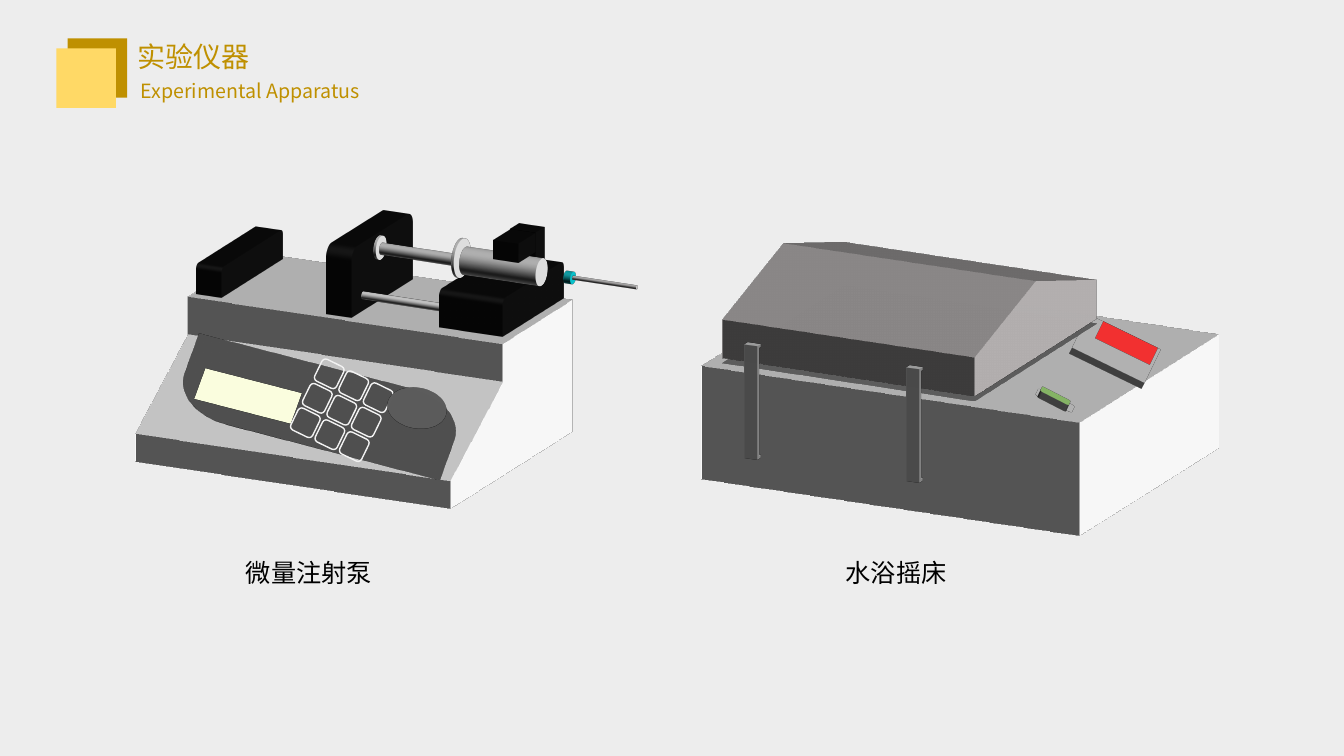
from lxml.etree import SubElement
from pptx import Presentation
from pptx.dml.color import RGBColor
from pptx.enum.shapes import MSO_SHAPE as Preset
from pptx.enum.text import MSO_ANCHOR as Anchor, MSO_AUTO_SIZE as AutoSize
from pptx.oxml.ns import qn
from pptx.util import Inches, Pt

COLORS = {
    "background": "EDEDED", "gold": "BF9000", "pale gold": "FFD966",
    "text": "000000", "block": "0D0D0D", "white": "F2F2F2", "disc": "D9D9D9",
    "hub": "09BEC7", "needle": "D0CECE", "panel": "000000", "display": "A9D18E",
    "grey": "808080", "screen": "C00000", "button": "548235", "lid": "AFABAB",
}
CJK_FONT = "Noto Sans CJK SC"
SIDE_VIEW = (18, 296, 0)
TOP_VIEW = (288, 0, 334)
PANEL_VIEW = (313, 7.5, 340)


def color(name):
    """Return the named colour."""
    return RGBColor.from_string(COLORS[name])


def finish(shape, fill, line=None):
    """Give a shape a plain fill, an optional line and no shadow."""
    shape.shadow.inherit = False
    if fill:
        shape.fill.solid()
        shape.fill.fore_color.rgb = color(fill)
    else:
        shape.fill.background()
    if line:
        shape.line.color.rgb = color(line)
        shape.line.width = Pt(1)
    else:
        shape.line.fill.background()
    return shape


def extrude(shape, depth, view=SIDE_VIEW, side=None):
    """Turn a shape in space and give it a depth in points."""
    properties = shape._element.spPr
    scene = SubElement(properties, qn("a:scene3d"))
    preset = "isometricOffAxis2Right" if view == SIDE_VIEW else "orthographicFront"
    camera = SubElement(scene, qn("a:camera"), prst=preset)
    angles = [str(int(angle * 60000)) for angle in view]
    SubElement(camera, qn("a:rot"), **dict(zip(("lat", "lon", "rev"), angles)))
    SubElement(scene, qn("a:lightRig"), rig="threePt", dir="t")
    solid = SubElement(properties, qn("a:sp3d"), extrusionH=str(Pt(depth)))
    if side:
        extrusion_color = SubElement(solid, qn("a:extrusionClr"))
        SubElement(extrusion_color, qn("a:srgbClr"), val=COLORS[side])


def place(group, kind, box, left, top, width, height, fill, line=None):
    """Place a preset shape relative to a box."""
    shape = group.shapes.add_shape(
        kind, Inches(box[0] + left), Inches(box[1] + top), Inches(width), Inches(height))
    return finish(shape, fill, line)


def outline(group, box, fill, *points):
    """Draw a closed polygon relative to a box."""
    corners = [(Inches(box[0] + x), Inches(box[1] + y)) for x, y in points]
    builder = group.shapes.build_freeform(*corners[0])
    builder.add_line_segments(corners[1:], close=True)
    return finish(builder.convert_to_shape(), fill)


def write(text_frame, text, size, font, fill, wrap=True):
    """Write one formatted line in a text frame."""
    text_frame.auto_size = AutoSize.SHAPE_TO_FIT_TEXT
    text_frame.vertical_anchor = Anchor.TOP
    text_frame.word_wrap = wrap
    run = text_frame.paragraphs[0].add_run()
    run.text = text
    run.font.size = Pt(size)
    run.font.name = font
    run.font.color.rgb = color(fill)
    SubElement(run.font._element, qn("a:ea")).set("typeface", CJK_FONT)


def caption(parent, left, top, width, height, text, size, fill, wrap=True):
    """Add a text box with one line."""
    text_box = parent.shapes.add_textbox(
        Inches(left), Inches(top), Inches(width), Inches(height))
    write(text_box.text_frame, text, size, CJK_FONT, fill, wrap)


def add_header(slide, left, top):
    """Place the square emblem, title and subtitle."""
    box = (left, top)
    group = slide.shapes.add_group_shape()
    place(group, Preset.RECTANGLE, box, 0.11, 0, 0.59, 0.59, "gold")
    place(group, Preset.RECTANGLE, box, 0, 0.1, 0.59, 0.59, "pale gold")
    title = slide.shapes.title
    title.left, title.top = Inches(left + 0.7), Inches(top - 0.04)
    title.width, title.height = Inches(3.8), Inches(0.44)
    write(title.text_frame, "实验仪器", 20, "Arial", "gold")
    paragraph = title.text_frame.paragraphs[0]
    paragraph.alignment = 1
    caption(group, left + 0.69, top + 0.35, 2.58, 0.34, " Experimental Apparatus", 14, "gold")


def add_keypad(group, box, left, top):
    """Place a tilted grid of three by three keys."""
    keypad = group.shapes.add_group_shape()
    for row in range(3):
        for column in range(3):
            place(keypad, Preset.ROUNDED_RECTANGLE, box, left + column * 0.27,
                  top + row * 0.27, 0.24, 0.24, None, "white")
    keypad.rotation = 26


def add_pump(slide, left, top):
    """Draw the syringe pump and its caption."""
    box = (left, top)
    group = slide.shapes.add_group_shape()
    bracket = Preset.ROUND_2_SAME_RECTANGLE

    clamp = place(group, bracket, box, 4.26, 0.27, 0.2, 0.39, "block")
    clamp.adjustments[0] = 0
    extrude(clamp, 20)
    case = outline(group, box, "white", (3.87, 1.33), (5.45, 1.33), (5.45, 2.7),
                   (2.69, 2.7), (2.69, 2.41), (3.89, 1.72), (3.87, 1.72))
    extrude(case, 250)
    parts = [
        (bracket, 0.81, 0.46, 1.38, 0.31, "block", 20),
        (bracket, 2.1, 0.27, 1.38, 0.71, "block", 20),
        (Preset.OVAL, 3.56, 1.04, 0.08, 0.08, "white", 80),
        (bracket, 3.6, 0.77, 1.38, 0.39, "block", 50),
        (Preset.OVAL, 2.66, 0.34, 0.24, 0.24, "disc", 2),
        (Preset.OVAL, 3.48, 0.52, 0.12, 0.12, "disc", 60),
        (Preset.OVAL, 3.39, 0.37, 0.39, 0.39, "disc", 2),
        (Preset.OVAL, 4.23, 0.56, 0.28, 0.28, "disc", 60),
        (bracket, 4.03, 0.36, 0.39, 0.2, "block", 20),
        (Preset.OVAL, 4.62, 0.7, 0.12, 0.12, "hub", 5),
        (Preset.OVAL, 5.29, 0.83, 0.04, 0.04, "needle", 50),
    ]
    for kind, x, y, width, height, fill, depth in parts:
        part = place(group, kind, box, x, y, width, height, fill)
        if (width, height) == (0.39, 0.2):
            part.adjustments[0] = 0
        extrude(part, depth)

    panel = place(group, Preset.ROUND_2_DIAG_RECTANGLE, box, 0.79, 1.44, 2.76, 1.18, "panel")
    panel.adjustments[0], panel.adjustments[1] = 0, 0.483
    extrude(panel, 0.1, PANEL_VIEW)
    display = place(group, Preset.RECTANGLE, box, 0.97, 1.69, 0.98, 0.47, "display")
    extrude(display, 0.1, PANEL_VIEW)
    add_keypad(group, box, 2, 1.68)
    knob = place(group, Preset.OVAL, box, 2.84, 1.75, 0.59, 0.59, "block")
    extrude(knob, 0.1, PANEL_VIEW)
    caption(slide, left + 1.34, top + 3.48, 1.46, 0.4, "微量注射泵", 18, "text", False)


def add_strap(group, box, left, top):
    """Draw one strap that holds the lid."""
    strap = outline(group, (box[0] + left, box[1] + top), "grey",
                    (0, 0), (0.08, 0), (0.08, 0.03), (0.04, 0.03), (0.04, 1.15),
                    (0.08, 1.15), (0.08, 1.18), (0, 1.18))
    extrude(strap, 10, side="disc")


def add_shaker(slide, left, top):
    """Draw the water bath shaker and its caption."""
    box = (left, top)
    group = slide.shapes.add_group_shape()
    bath = place(group, Preset.RECTANGLE, box, 3.32, 1.73, 3.15, 1.18, "white")
    extrude(bath, 300)
    pad = place(group, Preset.RECTANGLE, box, 4.18, 0.87, 0.79, 1.18, "grey")
    extrude(pad, 5, TOP_VIEW)
    screen = place(group, Preset.RECTANGLE, box, 4.38, 1.11, 0.59, 0.59, "screen", "white")
    extrude(screen, 0.1, TOP_VIEW)
    socket = place(group, Preset.ROUNDED_RECTANGLE, box, 3.77, 1.85, 0.39, 0.24, "grey")
    extrude(socket, 0.1, TOP_VIEW)
    button = place(group, Preset.ROUNDED_RECTANGLE, box, 3.81, 1.85, 0.31, 0.16,
                   "button", "white")
    extrude(button, 5, TOP_VIEW, "grey")
    gap = place(group, Preset.RECTANGLE, box, 2.39, 1.59, 2.76, 0, "grey")
    extrude(gap, 200)
    lid = outline(group, box, "lid", (3.77, 0.77), (5.15, 1.16), (5.15, 1.56),
                  (2.39, 1.56), (2.39, 1.16))
    extrude(lid, 200)
    add_strap(group, box, 2.59, 1.63)
    add_strap(group, box, 0.99, 1.4)
    caption(slide, left + 1.79, top + 3.48, 1.21, 0.4, "水浴摇床", 18, "text", False)


def main():
    """Build and save the presentation."""
    presentation = Presentation()
    presentation.slide_width, presentation.slide_height = Inches(13.33), Inches(7.5)
    slide = presentation.slides.add_slide(presentation.slide_layouts[5])
    slide.background.fill.solid()
    slide.background.fill.fore_color.rgb = color("background")
    add_pump(slide, 1, 2)
    add_shaker(slide, 6.5, 2)
    add_header(slide, 0.56, 0.38)
    presentation.save("out.pptx")


if __name__ == "__main__":
    main()
